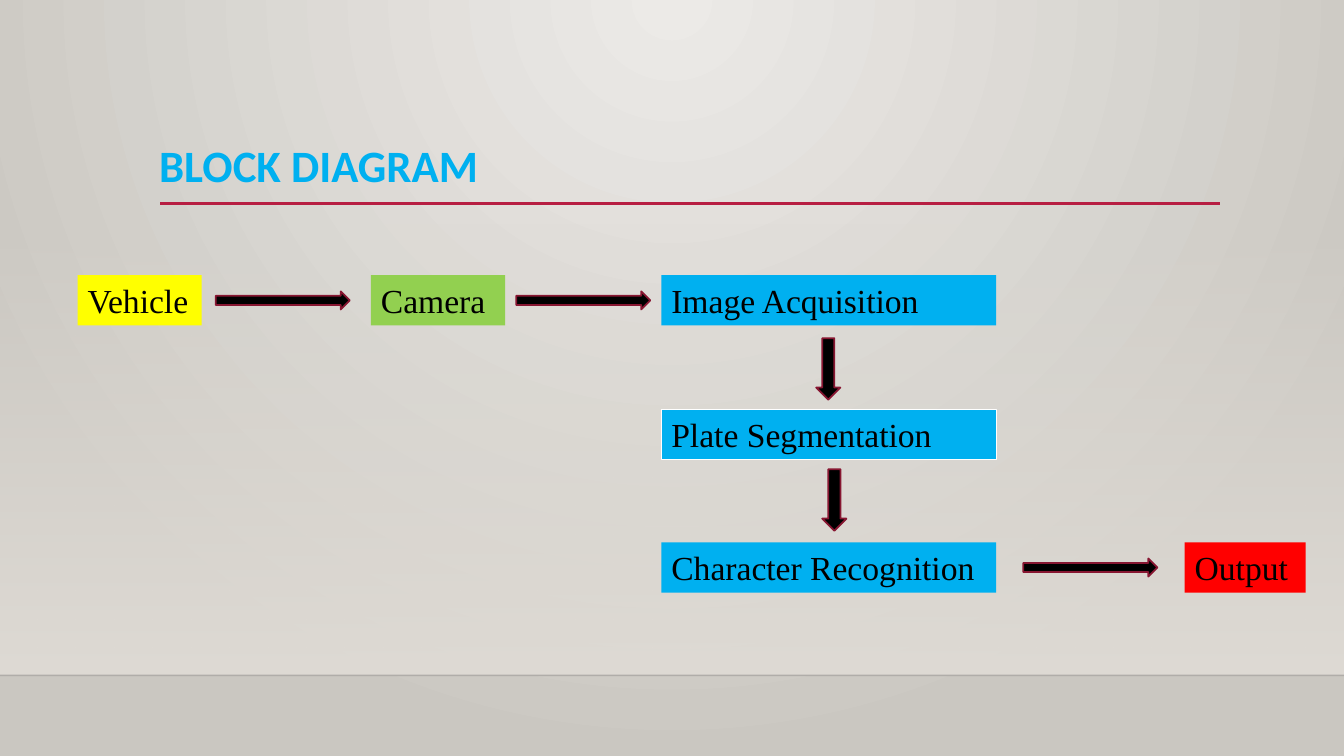
from pptx import Presentation
from pptx.dml.color import RGBColor
from pptx.enum.shapes import MSO_CONNECTOR, MSO_SHAPE
from pptx.enum.text import MSO_ANCHOR, MSO_AUTO_SIZE, PP_ALIGN
from pptx.oxml import parse_xml
from pptx.oxml.ns import nsdecls, qn
from pptx.util import Inches, Pt
from lxml.etree import SubElement

COLORS = {
    "yellow": "FFFF00", "green": "92D050", "blue": "00B0F0", "red": "FF0000",
    "black": "000000", "white": "FFFFFF", "maroon": "871631", "crimson": "B71E42",
    "glow": "ECEAE7", "edge": "CAC7C1", "wall": "DFDBD5", "floor_line": "000001",
}
BODY_FONT, TITLE_FONT = "Times New Roman", "Calibri"


def rgb(name):
    return RGBColor.from_string(COLORS[name])


def gradient(start, end, direction, start_alpha=100):
    """Two-stop gradFill element; direction is its a:lin or a:path XML."""
    return parse_xml(
        f'<a:gradFill {nsdecls("a")} rotWithShape="1"><a:gsLst>'
        f'<a:gs pos="0"><a:srgbClr val="{COLORS[start]}">'
        f'<a:alpha val="{start_alpha * 1000}"/></a:srgbClr></a:gs>'
        f'<a:gs pos="100000"><a:srgbClr val="{COLORS[end]}"/></a:gs>'
        f'</a:gsLst>{direction}</a:gradFill>')


class DiagramSlide:
    def __init__(self, deck):
        self.slide = deck.slides.add_slide(deck.slide_layouts[6])
        self.shapes = self.slide.shapes

    def background(self):
        backdrop = parse_xml(f'<p:bg {nsdecls("p", "a")}><p:bgPr><a:effectLst/></p:bgPr></p:bg>')
        backdrop[0].insert(0, gradient(
            "glow", "edge",
            '<a:path path="circle"><a:fillToRect l="43000" r="43000" b="100000"/></a:path>'))
        self.slide.element.cSld.insert(0, backdrop)

    def shape(self, kind, left, top, width, height, fill=None, line=None, line_width=1.0):
        part = self.shapes.add_shape(
            kind, Inches(left), Inches(top), Inches(width), Inches(height))
        part.shadow.inherit = False
        if fill:
            part.fill.solid()
            part.fill.fore_color.rgb = rgb(fill)
        if line:
            part.line.color.rgb = rgb(line)
            part.line.width = Pt(line_width)
        else:
            part.line.fill.background()
        return part

    def wall(self, top, height):
        """Band that fades in from transparent at its top."""
        band = self.shape(MSO_SHAPE.RECTANGLE, 0, top, 13.33, height)
        band.element.spPr.insert(2, gradient(
            "wall", "wall", '<a:lin ang="5400000" scaled="0"/>', start_alpha=0))

    def rule(self, left, right, y, color, width, alpha=100):
        rule = self.shapes.add_connector(
            MSO_CONNECTOR.STRAIGHT, Inches(left), Inches(y), Inches(right), Inches(y))
        rule.line.color.rgb = rgb(color)
        rule.line.width = Pt(width)
        SubElement(rule.element.spPr, qn("a:effectLst"))
        if alpha < 100:
            tint = rule.element.spPr.find(".//" + qn("a:srgbClr"))
            SubElement(tint, qn("a:alpha")).set("val", str(alpha * 1000))

    def label(self, part, wording, size, font, color, bold=False):
        frame = part.text_frame
        frame.word_wrap = True
        frame.auto_size = MSO_AUTO_SIZE.SHAPE_TO_FIT_TEXT
        frame.vertical_anchor = MSO_ANCHOR.TOP
        paragraph = frame.paragraphs[0]
        paragraph.alignment = PP_ALIGN.LEFT
        run = paragraph.add_run()
        run.text = wording
        run.font.size = Pt(size)
        run.font.name = font
        run.font.bold = bold
        run.font.color.rgb = rgb(color)

    def title(self, wording, left, top, width, height):
        heading = self.shapes.add_textbox(
            Inches(left), Inches(top), Inches(width), Inches(height))
        self.label(heading, wording, 32, TITLE_FONT, "blue", bold=True)

    def stage(self, wording, left, top, width, fill, line=None):
        box = self.shape(MSO_SHAPE.RECTANGLE, left, top, width, 0.5, fill, line, 0.75)
        self.label(box, wording, 24, BODY_FONT, "black")

    def arrow(self, left, top, width=1.33, height=0.18, rotation=0):
        arrow = self.shape(MSO_SHAPE.RIGHT_ARROW, left, top, width, height,
                           "black", "maroon", 1.25)
        arrow.rotation = rotation


def main():
    deck = Presentation()
    deck.slide_width, deck.slide_height = Inches(13.33), Inches(7.5)
    diagram = DiagramSlide(deck)

    diagram.background()
    diagram.wall(2.21, 4.49)
    diagram.rule(0, 13.33, 6.7, "floor_line", 1, alpha=20)
    diagram.rule(1.59, 12.1, 2.02, "crimson", 2.5)

    first_row, middle_row, last_row = 2.73, 4.06, 5.38
    process_left, process_width = 6.56, 3.32
    for wording, left, top, width, fill, line in (
        ("Vehicle", 0.77, first_row, 1.23, "yellow", None),
        ("Camera", 3.68, first_row, 1.33, "green", None),
        ("Image Acquisition", process_left, first_row, process_width, "blue", None),
        ("Plate Segmentation", process_left, middle_row, process_width, "blue", "white"),
        ("Character Recognition", process_left, last_row, process_width, "blue", None),
        ("Output", 11.75, last_row, 1.2, "red", None),
    ):
        diagram.stage(wording, left, top, width, fill, line)

    for left, row in ((2.14, first_row), (5.12, first_row), (10.15, last_row)):
        diagram.arrow(left, row + 0.16)
    for left, top in ((7.91, 3.54), (7.97, 4.84)):
        diagram.arrow(left, top, 0.61, 0.24, rotation=90)

    diagram.title("BLOCK DIAGRAM", 1.48, 1.32, 4.22, 0.64)
    deck.save("out.pptx")


if __name__ == "__main__":
    main()
